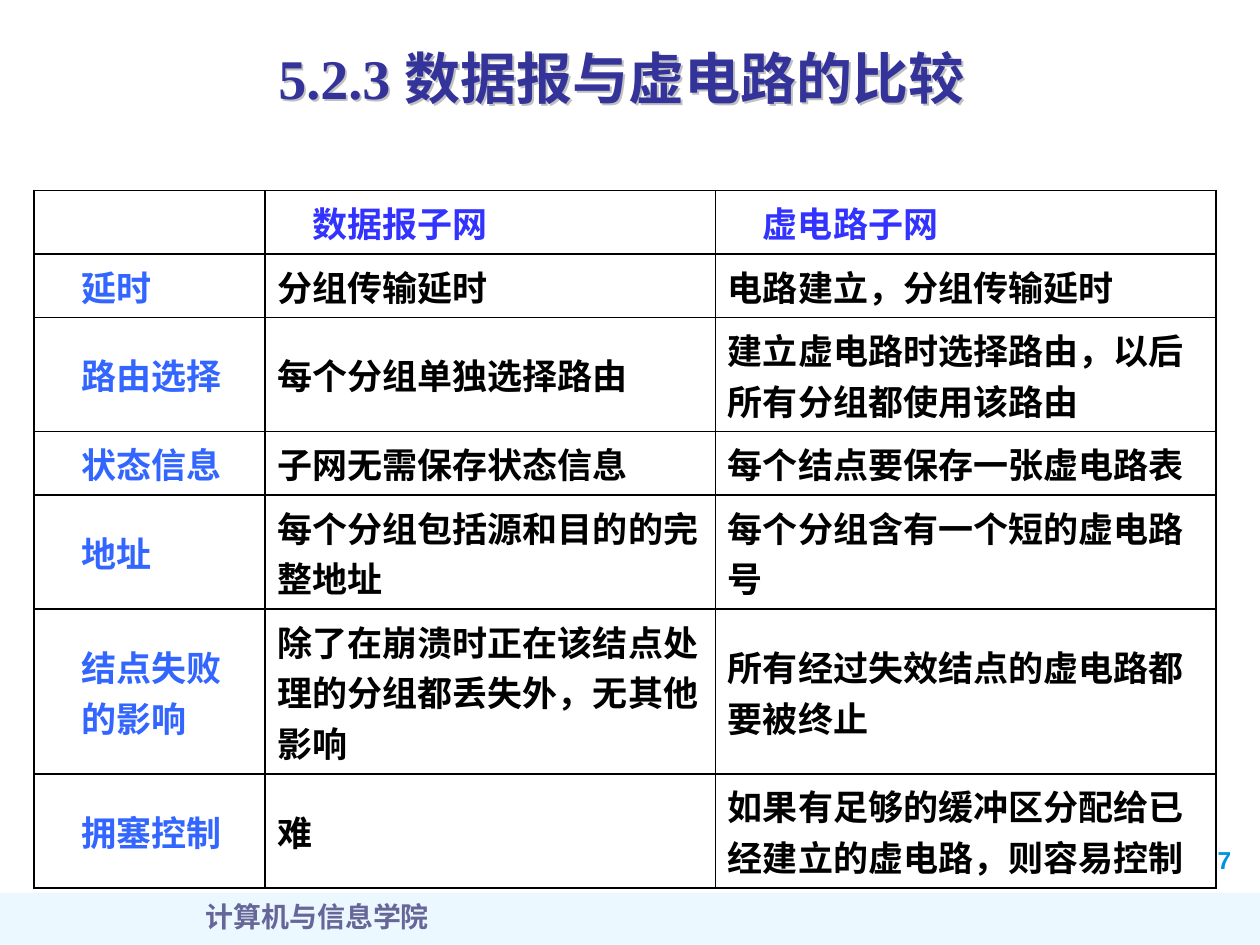
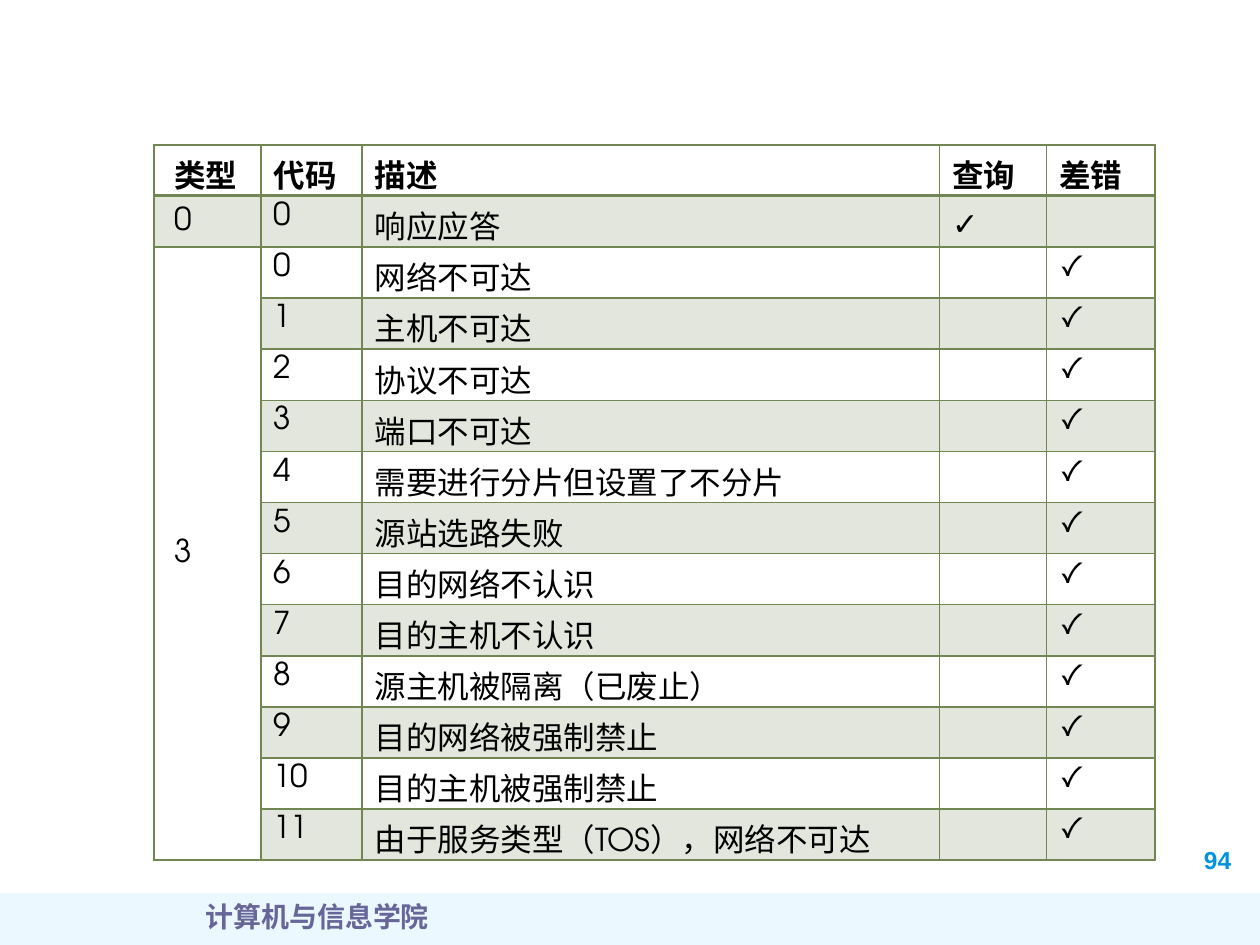
from lxml import etree
from pptx import Presentation
from pptx.dml.color import RGBColor
from pptx.enum import shapes, text
from pptx.oxml import ns
from pptx.util import Cm, Pt

WHITE = RGBColor(0xFF, 0xFF, 0xFF)
BLACK = RGBColor(0, 0, 0)
BAND = RGBColor(0xA7, 0xE2, 0xFF)
PAGE_BLUE = RGBColor(0x00, 0x94, 0xDE)
SCHOOL_GREY = RGBColor(0x66, 0x66, 0x99)
TITLE_BLUE = RGBColor(0x33, 0x33, 0x99)
TITLE_SHADOW = RGBColor(0xC0, 0xC0, 0xC0)
HEAD_BLUE = RGBColor(0x33, 0x33, 0xFF)
ASPECT_BLUE = RGBColor(0x33, 0x66, 0xFF)
GREEN = RGBColor(0x72, 0x86, 0x53)

SERIF, SANS, BODY, CODE = "Times New Roman", "Arial", "Roboto", "TeX Gyre Adventor"
TICK = "✓"
MIDDLE = text.MSO_ANCHOR.MIDDLE
CENTER = text.PP_ALIGN.CENTER

COMPARISON = [
    ("", "数据报子网", "虚电路子网"),
    ("延时", "分组传输延时", "电路建立，分组传输延时"),
    ("路由选择", "每个分组单独选择路由", "建立虚电路时选择路由，以后所有分组都使用该路由"),
    ("状态信息", "子网无需保存状态信息", "每个结点要保存一张虚电路表"),
    ("地址", "每个分组包括源和目的的完整地址", "每个分组含有一个短的虚电路号"),
    ("结点失败\v的影响", "除了在崩溃时正在该结点处理的分组都丢失外，无其他影响",
     "所有经过失效结点的虚电路都要被终止"),
    ("拥塞控制", "难", "如果有足够的缓冲区分配给已经建立的虚电路，则容易控制"),
]
# Row height in cm by the number of text lines in the row
LINE_HEIGHTS = {1: 1.28, 2: 2.3, 3: 3.32}
COMPARISON_LINES = [1, 1, 2, 1, 2, 3, 2]

UNREACHABLE = [
    "网络不可达", "主机不可达", "协议不可达", "端口不可达", "需要进行分片但设置了不分片",
    "源站选路失败", "目的网络不认识", "目的主机不认识", "源主机被隔离（已废止）",
    "目的网络被强制禁止", "目的主机被强制禁止", "由于服务类型（TOS），网络不可达",
]


def set_font(paragraph, name, size, color, bold=True):
    font = paragraph.font
    font.name, font.size, font.bold = name, Pt(size), bold
    font.color.rgb = color


def fill_solid(fill, color, opacity=100):
    fill.solid()
    fill.fore_color.rgb = color
    if opacity < 100:
        for clr in fill._xPr.iter(ns.qn("a:srgbClr")):
            etree.SubElement(clr, ns.qn("a:alpha"), val=str(opacity * 1000))


def add_label(slide, box, words, name, size, color, align=None, anchor=None):
    label = slide.shapes.add_textbox(*map(Cm, box))
    frame = label.text_frame
    frame.word_wrap = True
    frame.vertical_anchor = anchor
    line = frame.paragraphs[0]
    line.text = words
    line.alignment = align
    set_font(line, name, size, color)
    return label


def add_title(slide, box, words):
    title = add_label(slide, box, words, SERIF, 32, TITLE_BLUE, CENTER, MIDDLE)
    # Soft shadow behind the letters
    effects = etree.SubElement(title._element.spPr, ns.qn("a:effectLst"))
    shadow = etree.SubElement(effects, ns.qn("a:outerShdw"),
                              dist="17961", dir="2700000", algn="ctr")
    etree.SubElement(shadow, ns.qn("a:srgbClr"), val=str(TITLE_SHADOW))


def add_footer(slide, box, page):
    left, top, width, height = box
    band = slide.shapes.add_shape(shapes.MSO_SHAPE.RECTANGLE, *map(Cm, box))
    band.shadow.inherit = False
    band.line.fill.background()
    fill_solid(band.fill, BAND, 21)
    add_label(slide, (left + 24.02, top - 1.09, 1.5, 0.84), str(page), SANS, 14, PAGE_BLUE)
    add_label(slide, (left + 0.7, top, 11.4, 1.27), "计算机与信息学院",
              SERIF, 16, SCHOOL_GREY, CENTER)


def add_grid(slide, left, top, widths, heights):
    table = slide.shapes.add_table(len(heights), len(widths), Cm(left), Cm(top),
                                   Cm(sum(widths)), Cm(sum(heights))).table
    table.first_row = table.horz_banding = False
    for column, width in zip(table.columns, widths):
        column.width = Cm(width)
    for row, height in zip(table.rows, heights):
        row.height = Cm(height)
    return table


def set_borders(cell, color, **widths):
    """Draw all four sides, 1 pt unless a side (L, R, T, B) says otherwise."""
    props = cell._tc.get_or_add_tcPr()
    for side in "LRTB":
        line = etree.SubElement(props, ns.qn(f"a:ln{side}"), w=str(Pt(widths.get(side, 1))))
        solid = etree.SubElement(line, ns.qn("a:solidFill"))
        etree.SubElement(solid, ns.qn("a:srgbClr"), val=str(color))


def write_cell(cell, words, name, size, color, bold):
    line = cell.text_frame.paragraphs[0]
    line.text = words
    set_font(line, name, size, color, bold)


def add_comparison(slide, left, top):
    heights = [LINE_HEIGHTS[count] for count in COMPARISON_LINES]
    table = add_grid(slide, left, top, [4.65, 9.08, 10.09], heights)
    for r, row in enumerate(COMPARISON):
        for c, words in enumerate(row):
            cell = table.cell(r, c)
            set_borders(cell, BLACK)
            fill_solid(cell.fill, WHITE)
            cell.vertical_anchor = MIDDLE
            # Headings stand one character further in
            if r == 0 or c == 0:
                cell.margin_left = Cm(0.96)
            color = HEAD_BLUE if r == 0 else ASPECT_BLUE if c == 0 else BLACK
            write_cell(cell, words, BODY, 20, color, True)


def add_message_types(slide, left, top):
    rows = [("类型", "代码", "描述", "查询", "差错"), ("0", "0", "响应应答", TICK, "")]
    rows += [("" if code else "3", str(code), meaning, "", TICK)
             for code, meaning in enumerate(UNREACHABLE)]
    table = add_grid(slide, left, top, [2.16, 2.04, 11.64, 2.16, 2.18], [1.03] * len(rows))
    for r, row in enumerate(rows):
        for c, words in enumerate(row):
            cell = table.cell(r, c)
            set_borders(cell, GREEN, T=2 if r == 1 else 1, B=2 if r == 0 else 1)
            # Odd rows are tinted, except under the merged type 3
            if r % 2 and (c or r == 1):
                fill_solid(cell.fill, GREEN, 20)
            else:
                cell.fill.background()
            if c == 0:
                cell.margin_left = Cm(0.41)
                cell.vertical_anchor = MIDDLE
            name = "Noto Sans Mono" if (r, c) == (1, 3) else CODE
            write_cell(cell, words, name, 18, BLACK, r == 0)
    table.cell(2, 0).merge(table.cell(len(rows) - 1, 0))


def main():
    deck = Presentation()
    deck.slide_width, deck.slide_height = Cm(25.4), Cm(19.05)
    blank = deck.slide_layouts[6]
    footer_box = (0, 18, 25.4, 1.12)

    # Datagram and virtual circuit compared
    comparison = deck.slides.add_slide(blank)
    add_footer(comparison, footer_box, 17)
    add_title(comparison, (2.69, 0.61, 19.69, 1.9), "5.2.3 数据报与虚电路的比较")
    add_comparison(comparison, 0.69, 3.84)

    # Message types and codes
    messages = deck.slides.add_slide(blank)
    add_footer(messages, footer_box, 94)
    add_message_types(messages, 3.1, 2.92)

    deck.save("out.pptx")


if __name__ == "__main__":
    main()
